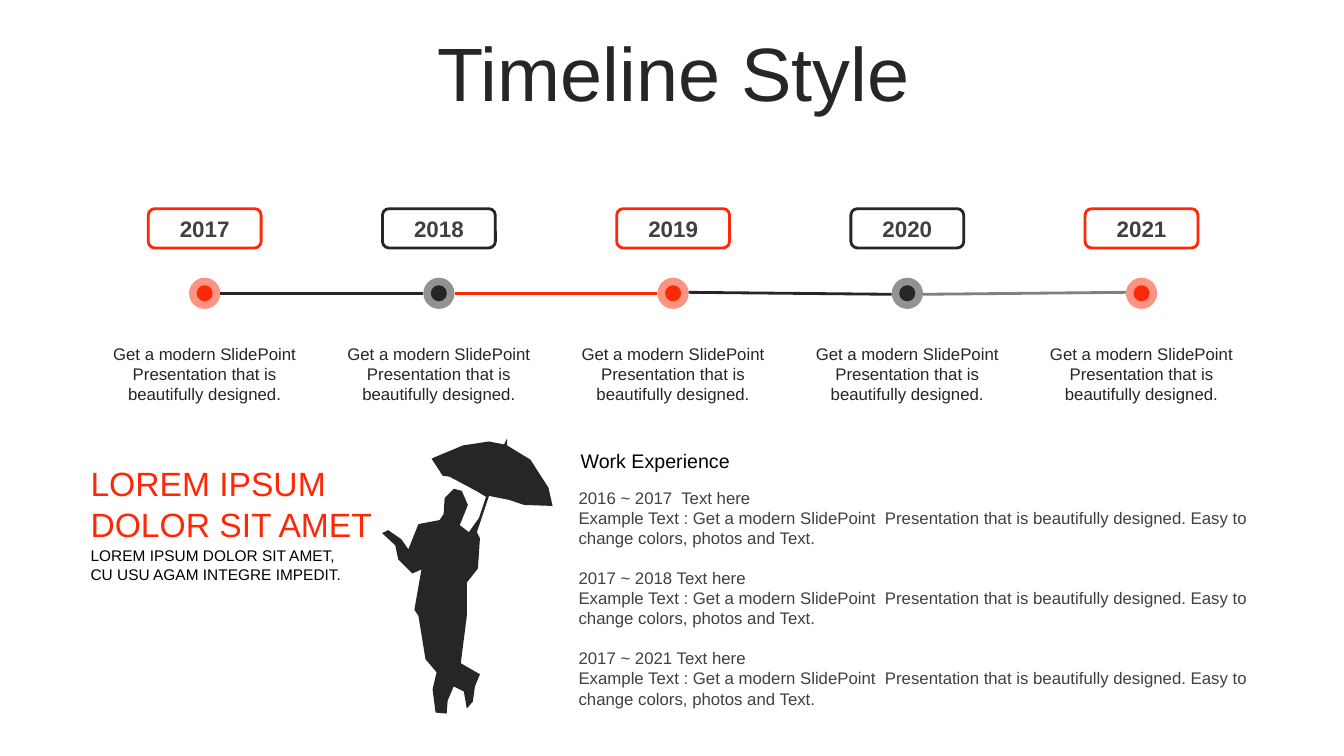
from lxml import etree
from pptx import Presentation
from pptx import util as u
from pptx.dml import color
from pptx.enum import shapes, text
from pptx.oxml import ns

THEME = {
    "font": "Arial", "red": "FD2906", "dark": "262626", "grey": "404040",
    "faded": "808080", "black": "000000",
    "title": 54, "heading": 24, "year": 16, "section": 14, "body": 12, "small": 11,
}

deck = Presentation()
deck.slide_width, deck.slide_height = u.Inches(13.33), u.Inches(7.5)
slide = deck.slides.add_slide(deck.slide_layouts[5])


def box(left, top, width, height):
    return [u.Inches(value) for value in (left, top, width, height)]


def write(shape, lines, size, tint, align="LEFT", anchor="TOP", bold=False, gap_every=None):
    frame = shape.text_frame
    frame_format = {
        "word_wrap": True,
        "auto_size": text.MSO_AUTO_SIZE.NONE,
        "vertical_anchor": text.MSO_ANCHOR[anchor],
    }
    for name, value in frame_format.items():
        setattr(frame, name, value)
    for index, line in enumerate(lines):
        paragraph = frame.add_paragraph() if index else frame.paragraphs[0]
        paragraph.text = line
        paragraph.alignment = text.PP_ALIGN[align]
        if gap_every and index and index % gap_every == 0:
            paragraph.space_before = u.Pt(14)
        font_format = {"name": THEME["font"], "size": u.Pt(THEME[size]), "bold": bold}
        for name, value in font_format.items():
            setattr(paragraph.font, name, value)
        paragraph.font.color.rgb = color.RGBColor.from_string(THEME[tint])


title = slide.shapes.title
title.left, title.top, title.width, title.height = box(0.35, 0.37, 12.66, 0.79)
write(title, ["Timeline Style"], "title", "dark", "CENTER", "MIDDLE")
title.text_frame.paragraphs[0].line_spacing = 0.9

FIRST_CENTRE, PITCH, AXIS = 2.03, 2.323, 2.91
RING, CORE = 0.31, 0.16
years = ["2017", "2018", "2019", "2020", "2021"]
links = [("dark", 0), ("red", 0), ("dark", 0.01), ("faded", -0.01)]

for column, (tint, tilt) in enumerate(links):
    centre = FIRST_CENTRE + column * PITCH
    link = slide.shapes.add_connector(
        shapes.MSO_CONNECTOR.STRAIGHT,
        *box(centre + RING / 2, AXIS - tilt, centre + PITCH - RING / 2, AXIS + tilt))
    link.line.color.rgb = color.RGBColor.from_string(THEME[tint])
    link.line.width = u.Pt(2)
    etree.SubElement(link._element.spPr, ns.qn("a:effectLst"))

for column, year in enumerate(years):
    centre = FIRST_CENTRE + column * PITCH
    accent = color.RGBColor.from_string(THEME["dark" if column % 2 else "red"])

    marker = slide.shapes.add_group_shape()
    for diameter, opacity in ((RING, 50), (CORE, 100)):
        dot = marker.shapes.add_shape(
            shapes.MSO_SHAPE.OVAL,
            *box(centre - diameter / 2, AXIS - diameter / 2, diameter, diameter))
        dot.shadow.inherit = False
        dot.fill.solid()
        dot.fill.fore_color.rgb = accent
        dot.line.fill.background()
        if opacity < 100:
            tone = dot._element.spPr.find(ns.qn("a:solidFill"))[0]
            etree.SubElement(tone, ns.qn("a:alpha"), val=str(opacity * 1000))

    badge = slide.shapes.add_shape(
        shapes.MSO_SHAPE.ROUNDED_RECTANGLE, *box(centre - 0.56, 2.07, 1.12, 0.39))
    badge.shadow.inherit = False
    badge.fill.background()
    badge.line.color.rgb = accent
    badge.line.width = u.Pt(2)
    write(badge, [year], "year", "grey", "CENTER", "MIDDLE", bold=True)

    caption = slide.shapes.add_textbox(*box(centre - 1.085, 3.36, 2.17, 0.71))
    write(caption, ["Get a modern SlidePoint Presentation that is beautifully designed."],
          "body", "dark", "CENTER")

subheading = slide.shapes.add_textbox(*box(0.8, 5.37, 3.25, 0.47))
write(subheading, ["LOREM IPSUM DOLOR SIT AMET,", "CU USU AGAM INTEGRE IMPEDIT."],
      "small", "black", anchor="MIDDLE")
heading = slide.shapes.add_textbox(*box(0.8, 4.54, 3.25, 0.91))
write(heading, ["LOREM IPSUM", "DOLOR SIT AMET"], "heading", "red", anchor="MIDDLE")

example = ("Example Text : Get a modern SlidePoint  Presentation that is beautifully designed. "
           "Easy to change colors, photos and Text.")
experience_lines = []
for period in ("2016 ~ 2017  Text here", "2017 ~ 2018 Text here", "2017 ~ 2021 Text here"):
    experience_lines += [period, example]
experience = slide.shapes.add_textbox(*box(5.64, 4.79, 7.13, 2.32))
write(experience, experience_lines, "body", "grey", gap_every=2)
experience_title = slide.shapes.add_textbox(*box(5.66, 4.4, 7.09, 0.34))
write(experience_title, ["Work Experience"], "section", "black")

silhouette_points = [
    (548, 502), (520, 501), (505, 496), (485, 492), (473, 528), (476, 534),
    (474, 564), (463, 578), (463, 611), (457, 658), (476, 669), (471, 681),
    (469, 696), (463, 703), (460, 686), (450, 681), (444, 695), (443, 708),
    (432, 707), (429, 684), (433, 667), (422, 654), (415, 611), (411, 605),
    (418, 565), (409, 569), (395, 555), (392, 541), (379, 529), (385, 526),
    (398, 535), (405, 545), (415, 520), (436, 516), (440, 510), (441, 494),
    (450, 485), (458, 487), (464, 501), (456, 521), (465, 528), (475, 514),
    (482, 493), (474, 488), (446, 473), (439, 472), (428, 455), (459, 442),
    (485, 438), (500, 441), (503, 435), (503, 442), (526, 456), (544, 484),
]
outline = slide.shapes.build_freeform(*silhouette_points[0], scale=u.Inches(0.01))
outline.add_line_segments(silhouette_points[1:], close=True)
silhouette = outline.convert_to_shape()
silhouette.shadow.inherit = False
silhouette.fill.solid()
silhouette.fill.fore_color.rgb = color.RGBColor.from_string(THEME["dark"])
silhouette.line.fill.background()

deck.save("out.pptx")
